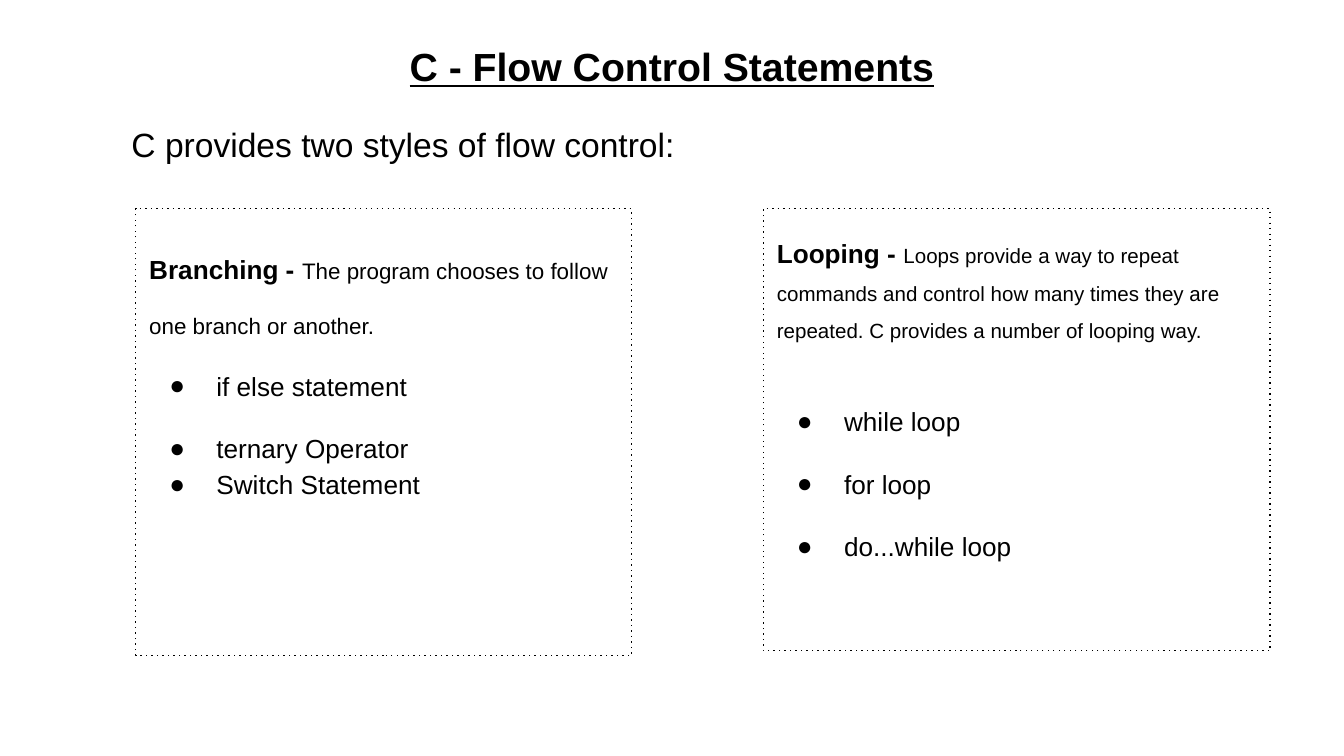
from dataclasses import dataclass

from lxml.etree import SubElement
from pptx import Presentation
from pptx.dml.color import RGBColor
from pptx.enum.text import MSO_ANCHOR as Anchor, MSO_AUTO_SIZE as AutoSize, PP_ALIGN as Align
from pptx.oxml.ns import qn
from pptx.util import Inches, Pt

WIDTH = Inches(10)
HEIGHT = WIDTH * 9 // 16
COLORS = {"ink": "000000"}
FONT = "Arial"
INSET = Inches(0.1)
TWO_CONTENT_LAYOUT = 3


@dataclass(frozen=True)
class Area:
    left: float
    top: float
    width: float
    height: float


@dataclass(frozen=True)
class Bullet:
    text: str
    line_spacing: float = 2.0
    space_before: float = 0


@dataclass(frozen=True)
class Panel:
    area: Area
    heading: str
    description: str
    description_size: int
    line_spacing: float
    bullets: tuple[Bullet, ...]


TITLE_AREA = Area(0.034, 0.042, 0.932, 0.09)
INTRO_AREA = Area(0.088, 0.146, 0.88, 0.09)
PANELS = (
    Panel(
        Area(0.101, 0.276, 0.369, 0.591),
        "Branching - ",
        "The program chooses to follow one branch or another.",
        12,
        2.0,
        (
            Bullet("if else statement"),
            Bullet("ternary Operator"),
            Bullet("Switch Statement", line_spacing=1.15),
        ),
    ),
    Panel(
        Area(0.568, 0.276, 0.377, 0.585),
        "Looping - ",
        "Loops provide a way to repeat commands and control how many times "
        "they are repeated. C provides a number of looping way.",
        11,
        1.5,
        (
            Bullet("while loop", space_before=16.5),
            Bullet("for loop"),
            Bullet("do...while loop"),
        ),
    ),
)


def place(shape, area: Area, anchor=Anchor.TOP) -> None:
    shape.left, shape.width = int(area.left * WIDTH), int(area.width * WIDTH)
    shape.top, shape.height = int(area.top * HEIGHT), int(area.height * HEIGHT)
    frame = shape.text_frame
    frame.word_wrap = True
    frame.auto_size = AutoSize.NONE
    frame.vertical_anchor = anchor
    frame.margin_left = frame.margin_right = INSET
    frame.margin_top = frame.margin_bottom = INSET


def style(font, size: float, bold: bool = False) -> None:
    font.name, font.size, font.bold = FONT, Pt(size), bold
    font.color.rgb = RGBColor.from_string(COLORS["ink"])


def set_bullet(paragraph, character: str | None) -> None:
    properties = paragraph._p.get_or_add_pPr()
    properties.set("marL", str(Inches(0.5) if character else 0))
    properties.set("indent", str(Inches(-0.35) if character else 0))
    if character:
        color = SubElement(properties, qn("a:buClr"))
        SubElement(color, qn("a:srgbClr"), val=COLORS["ink"])
        SubElement(properties, qn("a:buFont"), typeface=FONT)
        SubElement(properties, qn("a:buChar"), char=character)
    else:
        SubElement(properties, qn("a:buNone"))


def draw_dotted_border(shape) -> None:
    shape.line.color.rgb = RGBColor.from_string(COLORS["ink"])
    shape.line.width = Pt(0.75)
    outline = shape._element.spPr.find(qn("a:ln"))
    SubElement(outline, qn("a:prstDash"), val="dot")


def add_title(slide) -> None:
    title = slide.shapes.title
    place(title, TITLE_AREA, Anchor.MIDDLE)
    title.text_frame.text = "C - Flow Control Statements"
    paragraph = title.text_frame.paragraphs[0]
    paragraph.alignment = Align.CENTER
    style(paragraph.font, 21, bold=True)
    paragraph.font.underline = True


def add_intro(slide) -> None:
    intro = slide.shapes.add_textbox(0, 0, 0, 0)
    place(intro, INTRO_AREA)
    intro.text_frame.text = "C provides two styles of flow control:"
    style(intro.text_frame.paragraphs[0].font, 18)


def fill_panel(shape, panel: Panel) -> None:
    place(shape, panel.area)
    draw_dotted_border(shape)

    paragraph = shape.text_frame.paragraphs[0]
    paragraph.line_spacing = panel.line_spacing
    paragraph.space_before = Pt(0)
    set_bullet(paragraph, None)
    for text, size, bold in (
        (panel.heading, 14, True),
        (panel.description, panel.description_size, False),
    ):
        run = paragraph.add_run()
        run.text = text
        style(run.font, size, bold)

    for bullet in panel.bullets:
        paragraph = shape.text_frame.add_paragraph()
        paragraph.text = bullet.text
        paragraph.line_spacing = bullet.line_spacing
        paragraph.space_before = Pt(bullet.space_before)
        set_bullet(paragraph, "●")
        style(paragraph.font, 14)


def main() -> None:
    presentation = Presentation()
    presentation.slide_width, presentation.slide_height = WIDTH, HEIGHT
    slide = presentation.slides.add_slide(presentation.slide_layouts[TWO_CONTENT_LAYOUT])
    add_title(slide)
    add_intro(slide)
    for index, panel in enumerate(PANELS, start=1):
        fill_panel(slide.placeholders[index], panel)
    presentation.save("out.pptx")


if __name__ == "__main__":
    main()
